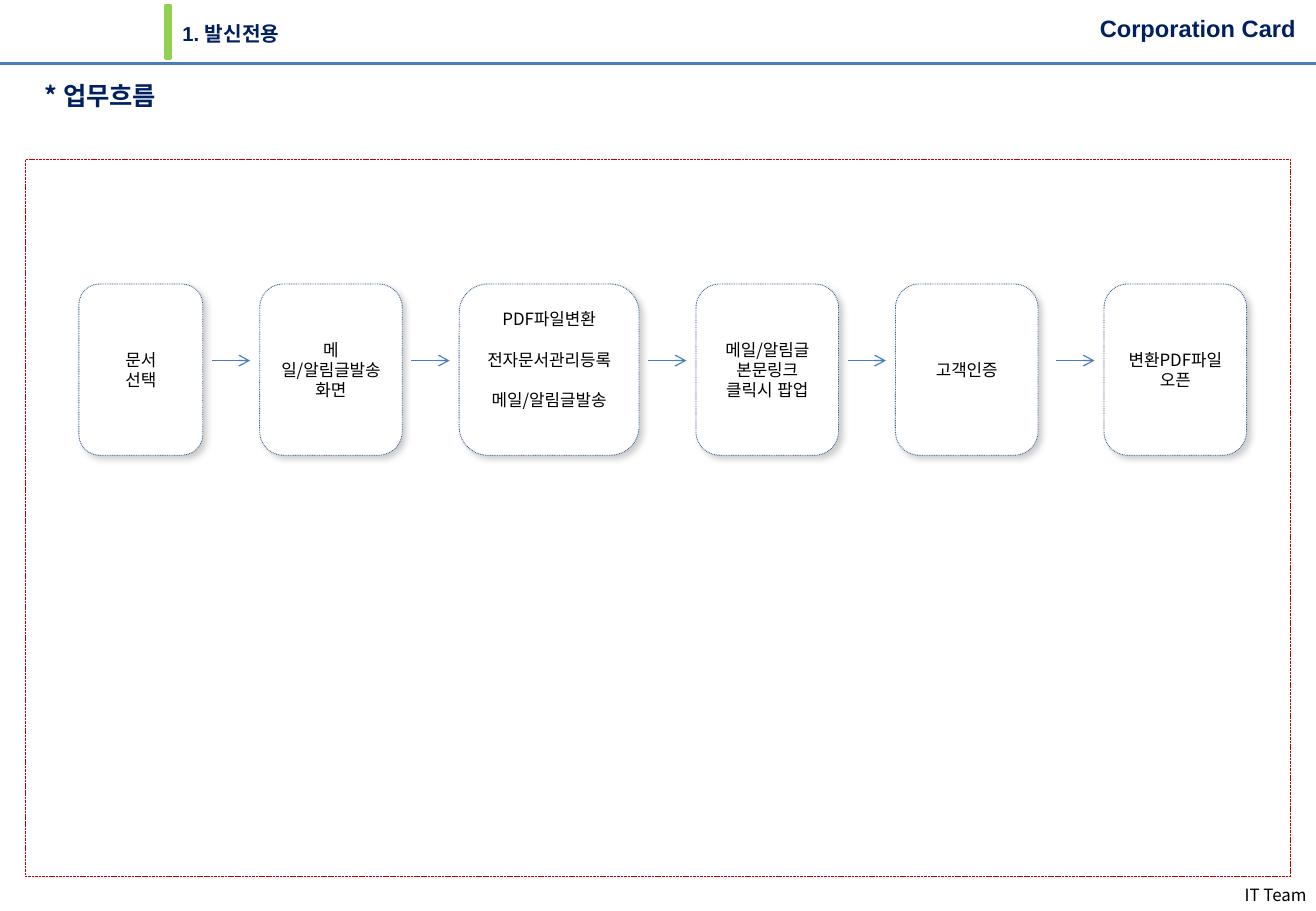
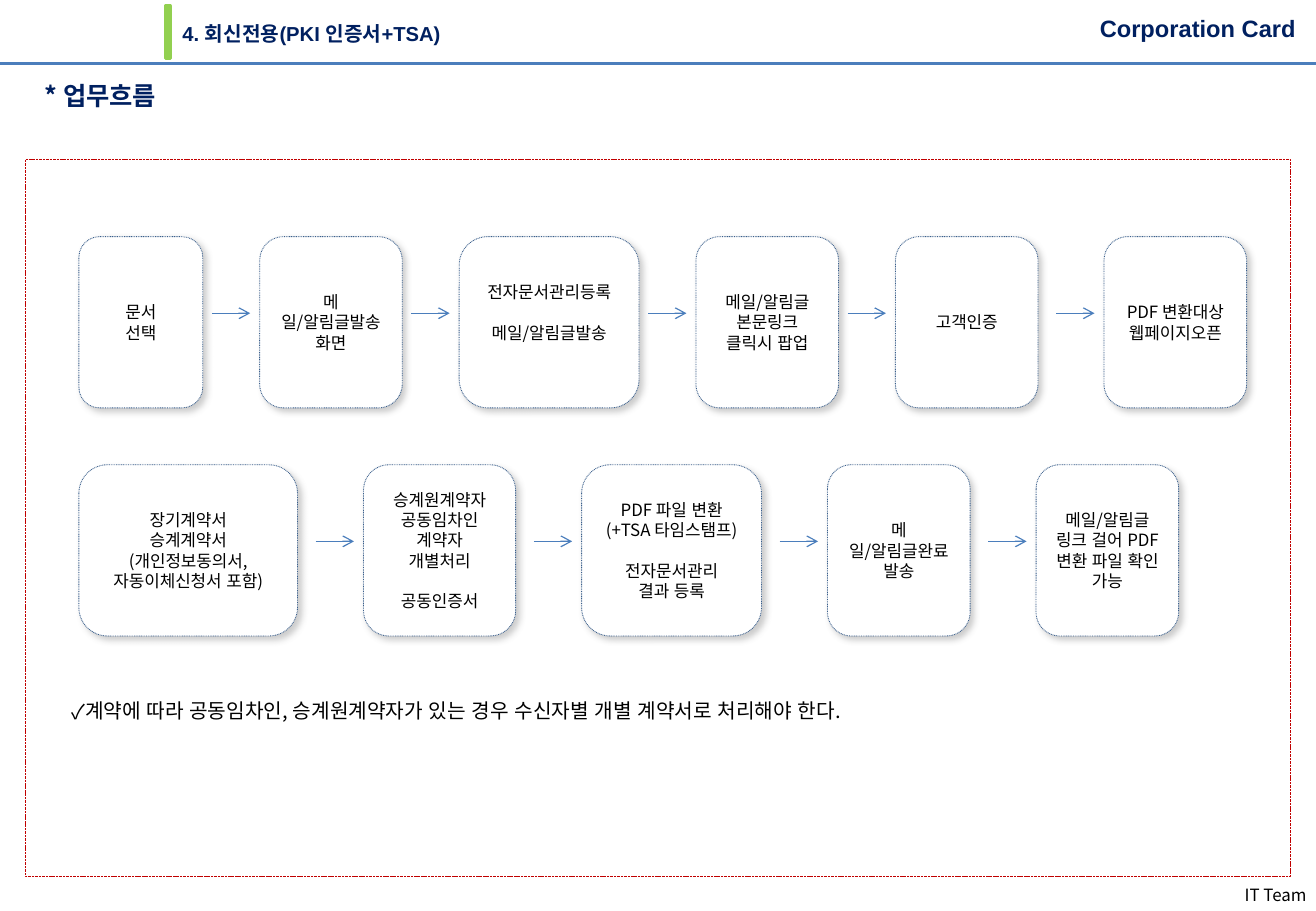
from dataclasses import dataclass

from lxml import etree
from pptx import Presentation
from pptx import util as u
from pptx.dml import color
from pptx.enum import dml, lang, shapes, text
from pptx.oxml import ns


@dataclass(frozen=True)
class Theme:
    navy: str = "002060"
    blue: str = "4B7EBC"
    outline: str = "3A5F8C"
    green: str = "92D050"
    red: str = "C00000"
    black: str = "000000"
    white: str = "FFFFFF"
    shade: str = "808080"
    latin: str = "Arial"
    korean: str = "Noto Sans CJK KR"


@dataclass(frozen=True)
class Step:
    """One box of a flow; a blank line in the wording is a gap between groups."""
    gap: float
    width: float
    wording: str
    lift: float = 0


THEME = Theme()
STYLES = {
    "brand": {"name": THEME.latin, "size": u.Pt(14), "bold": True, "color": THEME.navy},
    "title": {"name": THEME.latin, "size": u.Pt(12), "bold": True, "color": THEME.navy},
    "topic": {"name": THEME.korean, "size": u.Pt(15), "bold": True, "color": THEME.navy},
    "note": {"name": THEME.korean, "size": u.Pt(12), "bold": False, "color": THEME.black},
    "step": {"name": THEME.korean, "size": u.Pt(10), "bold": False, "color": THEME.black},
}
PAGE = (27.51, 19.05)
FRAME = (0.53, 3.33, 26.44, 15)
FLOW_LEFT = 1.65
STEP_HEIGHT = 3.58
STEP_LINE = 12
STEP_MARGIN = 0.23
ARROW = {"drop": 1.6, "length": 0.8, "clear": 0.2}
TIGHT = {"margin_left": u.Cm(0.15), "margin_right": u.Cm(0.15),
         "margin_top": u.Cm(0.08), "margin_bottom": u.Cm(0.08)}

NEAR, FAR = 1.19, 1.38
SELECT = Step(0, 2.59, "문서\n선택")
SEND_SCREEN = Step(NEAR, 2.98, "메일/알림글발송화면")
POPUP = Step(NEAR, 2.98, "메일/알림글 본문링크 클릭시 팝업")
VERIFY = Step(NEAR, 2.98, "고객인증")
SLIDES = [
    {"title": "1. 발신전용",
     "flows": [(5.94, [
         SELECT, SEND_SCREEN,
         Step(NEAR, 3.76, "PDF파일변환\n\n전자문서관리등록\n\n메일/알림글발송", STEP_LINE),
         POPUP, VERIFY,
         Step(FAR, 2.98, "변환PDF파일\n오픈")])]},
    {"title": "4. 회신전용(PKI 인증서+TSA)",
     "flows": [
         (4.95, [
             SELECT, SEND_SCREEN,
             Step(NEAR, 3.76, "전자문서관리등록\n\n메일/알림글발송", STEP_LINE),
             POPUP, VERIFY,
             Step(FAR, 2.98, "PDF 변환대상 웹페이지오픈")]),
         (9.72, [
             Step(0, 4.57, "장기계약서\n승계계약서\n(개인정보동의서,\n자동이체신청서 포함)"),
             Step(FAR, 3.18, "승계원계약자\n공동임차인\n계약자\n개별처리\n\n공동인증서"),
             Step(FAR, 3.76, "PDF 파일 변환\n(+TSA 타임스탬프)\n\n전자문서관리\n결과 등록"),
             Step(FAR, 2.98, "메일/알림글완료 발송"),
             Step(FAR, 2.98, "메일/알림글 링크 걸어 PDF변환 파일 확인 가능")])],
     "note": "계약에 따라 공동임차인, 승계원계약자가 있는 경우 수신자별 개별 계약서로 처리해야 한다."},
]


def cm(*lengths):
    return [u.Cm(round(length, 2)) for length in lengths]


def rgb(value):
    return color.RGBColor.from_string(value)


def apply(target, values):
    for key, value in values.items():
        setattr(target, key, value)


def child(parent, tag, **attributes):
    return etree.SubElement(parent, ns.qn(tag), attributes)


def write(paragraph, wording, style, **layout):
    run = paragraph.add_run()
    run.text = wording
    values = dict(STYLES[style])
    run.font.color.rgb = rgb(values.pop("color"))
    apply(run.font, {**values, "language_id": lang.MSO_LANGUAGE_ID.KOREAN})
    child(run.font._element, "a:ea", typeface=THEME.korean)
    apply(paragraph, layout)


def set_bullet(paragraph, symbol=None, left=0, hanging=0):
    properties = paragraph._p.get_or_add_pPr()
    properties.set("marL", str(u.Cm(left)))
    properties.set("indent", str(-u.Cm(hanging)))
    if symbol:
        child(properties, "a:buFont", typeface=THEME.korean)
        child(properties, "a:buChar", char=symbol)
    else:
        child(properties, "a:buNone")


def set_line(shape, line_color, width, dash=None):
    shape.line.color.rgb = rgb(line_color)
    apply(shape.line, {"width": u.Pt(width), "dash_style": dash})


def add_line(parts, start, end, width):
    line = parts.add_connector(shapes.MSO_CONNECTOR.STRAIGHT, *cm(*start, *end))
    set_line(line, THEME.blue, width)
    child(line._element.spPr, "a:effectLst")
    return line


def add_box(parts, preset, box, fill=None):
    shape = parts.add_shape(preset, *cm(*box))
    shape.shadow.inherit = False
    if fill:
        shape.fill.solid()
        shape.fill.fore_color.rgb = rgb(fill)
    else:
        shape.fill.background()
    return shape


def add_label(parts, box, wording, style, frame_values, **layout):
    frame = parts.add_textbox(*cm(*box)).text_frame
    apply(frame, {"word_wrap": True, **frame_values})
    write(frame.paragraphs[0], wording, style, **layout)
    return frame.paragraphs[0]


def draw_frame(parts, box):
    border = add_box(parts, shapes.MSO_SHAPE.RECTANGLE, box)
    set_line(border, THEME.red, 0.5, dml.MSO_LINE.SQUARE_DOT)


def draw_header(parts, width, rule_top):
    tab = add_box(parts, shapes.MSO_SHAPE.RECTANGLE, (3.46, 0.13, 0.1, 1.09), THEME.green)
    set_line(tab, THEME.green, 2)
    add_line(parts, (0, rule_top), (width, rule_top), 2)
    add_label(parts, (width - 5.37, 0.21, 5.1, 0.76), "Corporation Card", "brand", TIGHT,
              alignment=text.PP_ALIGN.RIGHT, space_before=u.Pt(5))


def furnish_layout(layout, slide):
    """Draw the shared parts on a slide, then hand them over to its layout."""
    for placeholder in list(layout.placeholders):
        if placeholder.placeholder_format.idx >= 10:
            placeholder.element.getparent().remove(placeholder.element)
    draw_frame(slide.shapes, FRAME)
    draw_header(slide.shapes, PAGE[0], 1.33)
    add_label(slide.shapes, (25.76, 18.37, 1.8, 0.69), "IT Team", "step",
              {"word_wrap": False}, alignment=text.PP_ALIGN.RIGHT)
    for part in list(slide.shapes):
        if not part.is_placeholder:
            layout.shapes.element.append(part.element)


def fill_placeholder(placeholder, box, wording, style, frame_values, **layout):
    apply(placeholder, dict(zip(("left", "top", "width", "height"), cm(*box))))
    frame = placeholder.text_frame
    apply(frame, {"word_wrap": True, "auto_size": text.MSO_AUTO_SIZE.NONE,
                  "vertical_anchor": text.MSO_ANCHOR.TOP, **frame_values})
    write(frame.paragraphs[0], wording, style, alignment=text.PP_ALIGN.LEFT, **layout)
    return frame.paragraphs[0]


def cast_shadow(shape):
    effects = shape._element.spPr.find(ns.qn("a:effectLst"))
    shadow = child(effects, "a:outerShdw", blurRad=str(u.Pt(4)), dist=str(u.Pt(3)),
                   dir="2700000", algn="tl", rotWithShape="0")
    child(child(shadow, "a:srgbClr", val=THEME.shade), "a:alpha", val="40000")


def draw_step(parts, box, step):
    card = add_box(parts, shapes.MSO_SHAPE.ROUNDED_RECTANGLE, box, THEME.white)
    set_line(card, THEME.outline, 0.5, dml.MSO_LINE.ROUND_DOT)
    cast_shadow(card)
    frame = card.text_frame
    apply(frame, {"word_wrap": True, "vertical_anchor": text.MSO_ANCHOR.MIDDLE,
                  "margin_left": u.Cm(STEP_MARGIN), "margin_right": u.Cm(STEP_MARGIN),
                  "margin_bottom": frame.margin_bottom + u.Pt(step.lift)})
    paragraph = frame.paragraphs[0]
    for group_index, group in enumerate(step.wording.split("\n\n")):
        for line_index, wording in enumerate(group.split("\n")):
            if group_index or line_index:
                paragraph = frame.add_paragraph()
            opens_group = group_index and not line_index
            write(paragraph, wording, "step", alignment=text.PP_ALIGN.CENTER,
                  line_spacing=u.Pt(STEP_LINE),
                  space_before=u.Pt(STEP_LINE if opens_group else 0))


def draw_flow(parts, left, top, steps):
    for step in steps:
        left += step.gap
        if step.gap:
            tip, level = left - ARROW["clear"], top + ARROW["drop"]
            arrow = add_line(parts, (tip - ARROW["length"], level), (tip, level), 0.75)
            child(arrow.line._get_or_add_ln(), "a:tailEnd", type="arrow")
        draw_step(parts, (left, top, step.width, STEP_HEIGHT), step)
        left += step.width


def fill_slide(slide, title, flows, note=None):
    fill_placeholder(slide.shapes.title, (3.56, 0.31, 17.75, 0.76), title, "title", {},
                     space_before=u.Pt(3))
    topic = fill_placeholder(slide.placeholders[1], (0.78, 1.59, 26.73, 0.81),
                             "* 업무흐름", "topic", TIGHT,
                             space_before=u.Pt(0), space_after=u.Pt(1.8))
    set_bullet(topic, left=0.97, hanging=0.97)
    for top, steps in flows:
        draw_flow(slide.shapes, FLOW_LEFT, top, steps)
    if note:
        set_bullet(add_label(slide.shapes, (1.24, 14.48, 25.2, 1.27), note, "note", {}), "✓")


def main():
    deck = Presentation()
    deck.slide_width, deck.slide_height = cm(*PAGE)
    layout = deck.slide_layouts[1]
    for index, content in enumerate(SLIDES):
        slide = deck.slides.add_slide(layout)
        if index == 0:
            furnish_layout(layout, slide)
        fill_slide(slide, **content)
    deck.save("out.pptx")


if __name__ == "__main__":
    main()
